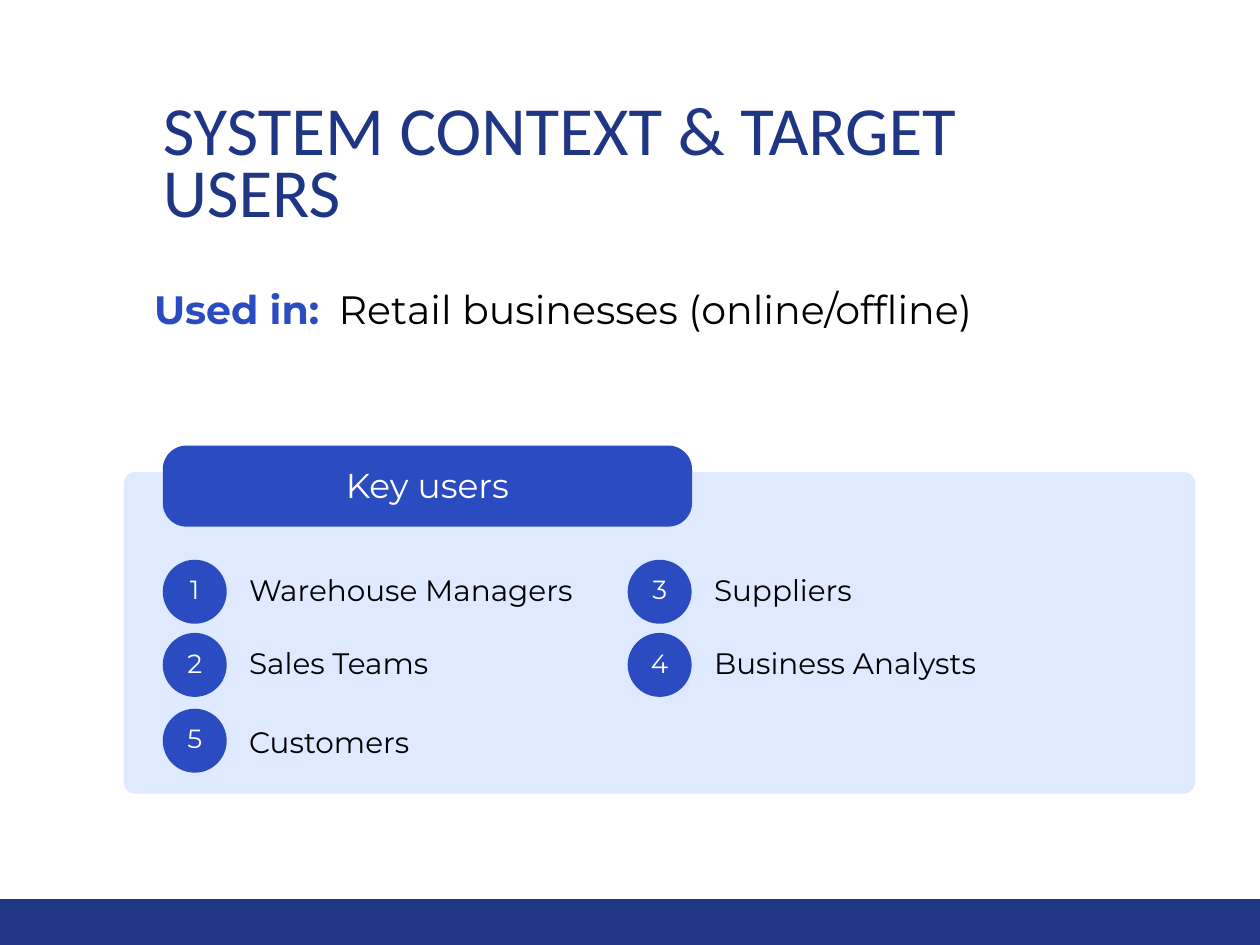
"""Build the slide on system context and target users."""
from typing import NamedTuple

from lxml.etree import SubElement
from pptx import Presentation
from pptx.dml.color import RGBColor
from pptx.enum.shapes import MSO_SHAPE
from pptx.enum.text import MSO_ANCHOR, MSO_AUTO_SIZE, PP_ALIGN
from pptx.oxml.ns import qn
from pptx.util import Pt

COLORS = {
    "navy": "1F3685",
    "blue": "2B4CC0",
    "pale": "DFE9FF",
    "white": "FFFFFF",
    "black": "000000",
}
BODY_FONT = "Montserrat"
BADGE_SIZE = 39
LABEL_OFFSET = 52.6


class Box(NamedTuple):
    left: float
    top: float
    width: float
    height: float


class TextStyle(NamedTuple):
    size: float
    color: str
    line_spacing: float
    font: str = BODY_FONT
    bold: bool = False
    alignment: PP_ALIGN = PP_ALIGN.LEFT


class KeyUser(NamedTuple):
    number: int
    name: str
    left: float
    badge_top: float
    label_top: float


TITLE = TextStyle(42, "navy", 37.8, font="Calibri")
HEADING = TextStyle(21, "white", 18.9, alignment=PP_ALIGN.CENTER)
BADGE = TextStyle(16, "white", 14.4, alignment=PP_ALIGN.CENTER)
LABEL = TextStyle(18, "black", 25.2)
LEAD = TextStyle(24.1, "blue", 33.7, bold=True)
DETAIL = LEAD._replace(color="black", bold=False)

LEFT_COLUMN, RIGHT_COLUMN = 99.2, 382.6
KEY_USERS = [
    KeyUser(1, "Warehouse Managers", LEFT_COLUMN, 341.2, 344.8),
    KeyUser(2, "Sales Teams", LEFT_COLUMN, 385.8, 389.5),
    KeyUser(3, "Suppliers", RIGHT_COLUMN, 341.2, 344.8),
    KeyUser(4, "Business Analysts", RIGHT_COLUMN, 385.8, 389.5),
    KeyUser(5, "Customers", LEFT_COLUMN, 432, 437.8),
]


def points(box: Box) -> list:
    return [Pt(value) for value in box]


def add_run(paragraph, text: str, style: TextStyle) -> None:
    run = paragraph.add_run()
    run.text = text
    formats = {"name": style.font, "size": Pt(style.size), "bold": style.bold}
    for name, value in formats.items():
        setattr(run.font, name, value)
    run.font.color.rgb = RGBColor.from_string(COLORS[style.color])


def write(shape, text: str, style: TextStyle, top_inset: float = 0,
          anchor: MSO_ANCHOR = MSO_ANCHOR.TOP):
    frame = shape.text_frame
    formats = {
        "margin_left": 0,
        "margin_right": 0,
        "margin_top": Pt(top_inset),
        "margin_bottom": 0,
        "word_wrap": True,
        "auto_size": MSO_AUTO_SIZE.NONE,
        "vertical_anchor": anchor,
    }
    for name, value in formats.items():
        setattr(frame, name, value)
    paragraph = frame.paragraphs[0]
    paragraph.alignment = style.alignment
    paragraph.line_spacing = Pt(style.line_spacing)
    paragraph.space_before = Pt(0)
    add_run(paragraph, text, style)
    return paragraph


def add_panel(slide, kind: MSO_SHAPE, box: Box, color: str, corner: float = 0):
    shape = slide.shapes.add_shape(kind, *points(box))
    shape.shadow.inherit = False
    shape.fill.solid()
    shape.fill.fore_color.rgb = RGBColor.from_string(COLORS[color])
    shape.line.fill.background()
    if corner:
        shape.adjustments[0] = corner / min(box.width, box.height)
    return shape


def add_text(slide, box: Box, text: str, style: TextStyle):
    shape = slide.shapes.add_textbox(*points(box))
    return shape, write(shape, text, style)


def add_key_user(slide, user: KeyUser) -> None:
    box = Box(user.left, user.badge_top, BADGE_SIZE, BADGE_SIZE)
    badge = add_panel(slide, MSO_SHAPE.OVAL, box, "blue")
    write(badge, str(user.number), BADGE, 2, MSO_ANCHOR.MIDDLE)
    label_box = Box(user.left + LABEL_OFFSET, user.label_top, 240, 24.5)
    add_text(slide, label_box, user.name, LABEL)


def add_usage(slide) -> None:
    shape, paragraph = add_text(slide, Box(26.6, 169.2, 634.3, 31), "Used in:\t", LEAD)
    shape.text_frame.margin_left = Pt(67.3)
    tabs = SubElement(paragraph._p.get_or_add_pPr(), qn("a:tabLst"))
    SubElement(tabs, qn("a:tab"), pos=str(Pt(112.5)), algn="l")
    add_run(paragraph, "Retail businesses (online/offline)", DETAIL)


def main() -> None:
    presentation = Presentation()
    presentation.slide_width, presentation.slide_height = Pt(768), Pt(576)
    slide = presentation.slides.add_slide(presentation.slide_layouts[5])

    title = slide.shapes.title
    title.left, title.top, title.width, title.height = points(Box(99.2, 65.5, 509, 79.2))
    write(title, "SYSTEM CONTEXT & TARGET USERS", TITLE)

    rounded = MSO_SHAPE.ROUNDED_RECTANGLE
    add_panel(slide, rounded, Box(-51, 548, 854, 55.4), "navy", 5)
    add_panel(slide, rounded, Box(75.5, 287.8, 653, 196), "pale", 7)
    heading = add_panel(slide, rounded, Box(99.2, 271.6, 322.6, 49.4), "blue", 14.4)
    write(heading, "Key users", HEADING, 5, MSO_ANCHOR.MIDDLE)

    for user in KEY_USERS:
        add_key_user(slide, user)
    add_usage(slide)
    presentation.save("out.pptx")


if __name__ == "__main__":
    main()
